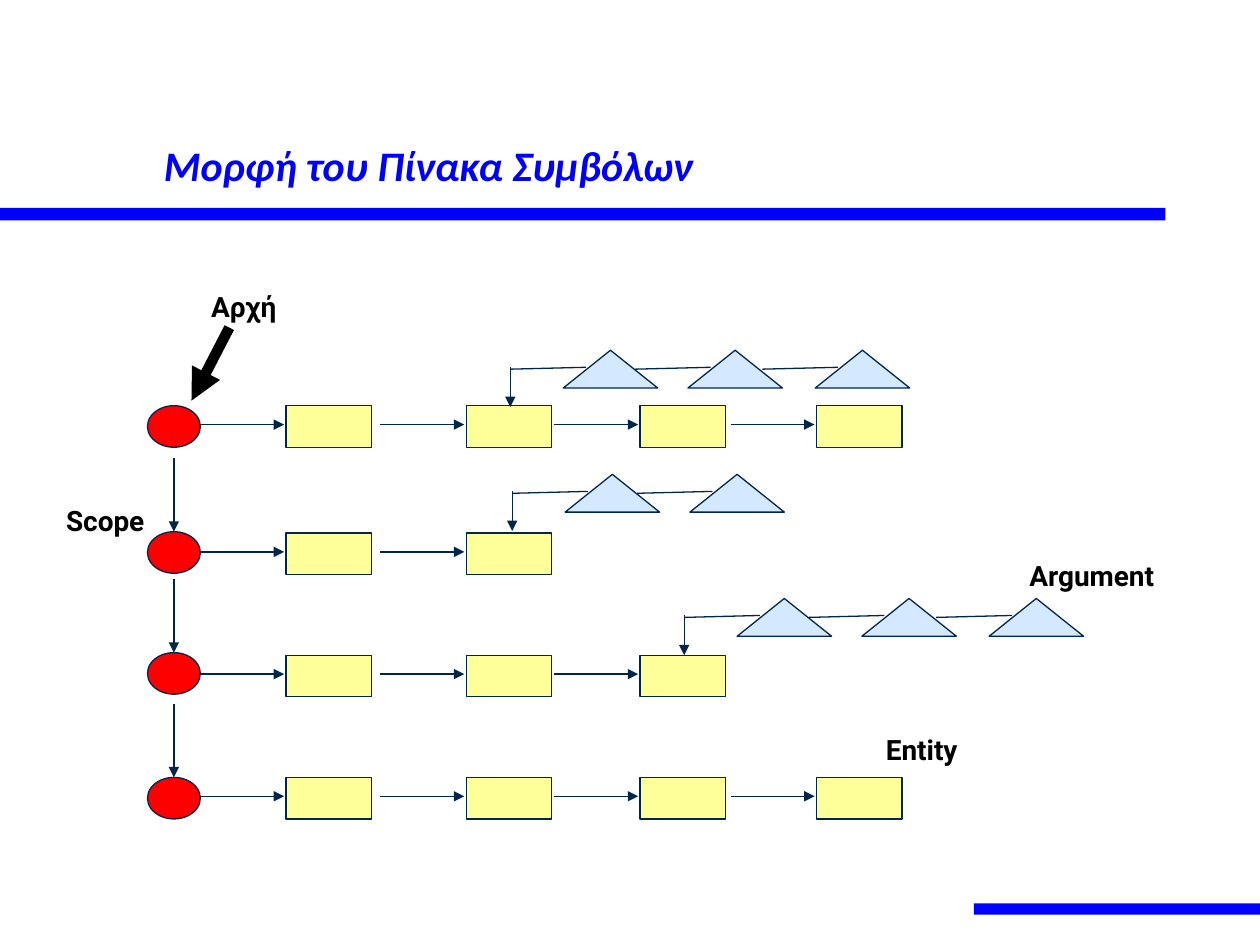
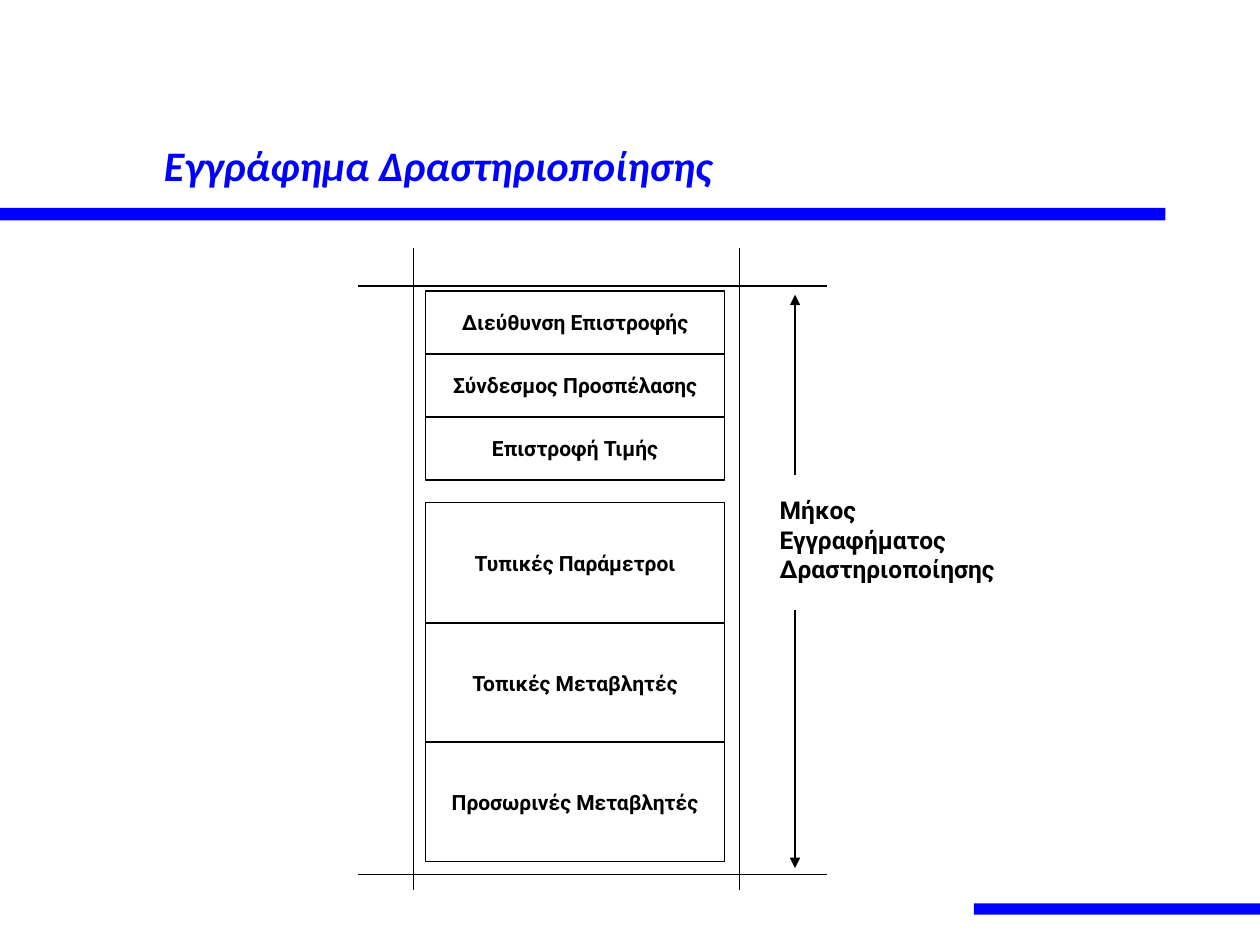
from dataclasses import dataclass
from typing import Optional

from lxml.etree import SubElement as Sub
from pptx import Presentation
from pptx.dml.color import RGBColor as Rgb
from pptx.enum.shapes import MSO_CONNECTOR as Conn, MSO_SHAPE as Kind
from pptx.enum.text import MSO_ANCHOR as Anchor, MSO_AUTO_SIZE as Fit, PP_ALIGN as Align
from pptx.oxml.ns import qn
from pptx.util import Inches, Pt

COLS, ROWS = 100, 75
WIDE, HIGH = Inches(10), Inches(7.5)


@dataclass(frozen=True)
class Theme:
    blue: str = "0000FF"
    navy: str = "00264C"
    red: str = "FF0000"
    sand: str = "FFFF99"
    sky: str = "D4E9FF"
    black: str = "000000"
    head: str = "Calibri"
    body: str = "Roboto"
    title: int = 24
    label: int = 16
    note: int = 14
    cell: int = 12
    thin: float = 0.75
    thick: float = 6


@dataclass(frozen=True)
class Area:
    left: float
    top: float
    width: float
    height: float

    def spans(self) -> tuple:
        return across(self.left), down(self.top), across(self.width), down(self.height)


@dataclass(frozen=True)
class Chain:
    left: float
    top: float
    count: int


@dataclass(frozen=True)
class Scope:
    top: float
    line: float
    count: int
    chain: Optional[Chain] = None


@dataclass(frozen=True)
class Label:
    text: str
    left: float
    top: float


@dataclass(frozen=True)
class Field:
    text: str
    top: float
    height: float


THEME = Theme()
BANDS = (Area(0, 16.5, 92.5, 1), Area(77.3, 71.7, 22.7, 0.9))
TITLE = Area(12, 3.1, 85, 12.5)

BOXES = (22.7, 37, 50.8, 64.8)
STEPS = (0, 9.9, 20)
SCOPES = (
    Scope(32.2, 32.2, 4, Chain(44.7, 27.8, 3)),
    Scope(42.2, 42.3, 2, Chain(44.85, 37.65, 2)),
    Scope(51.8, 52, 3, Chain(58.5, 47.5, 3)),
    Scope(61.7, 61.7, 4),
)
LABELS = (
    Label("Scope", 2.6, 39.4),
    Label("Entity", 67.4, 57.6),
    Label("Argument", 80.9, 43.8),
    Label("Αρχή", 13.6, 22.4),
)
FIELDS = (
    Field("Διεύθυνση Επιστροφής", 23.1, 5),
    Field("Σύνδεσμος Προσπέλασης", 28.1, 5),
    Field("Επιστροφή Τιμής", 33.1, 5),
    Field("Τυπικές Παράμετροι", 39.9, 9.5),
    Field("Τοπικές Μεταβλητές", 49.5, 9.4),
    Field("Προσωρινές Μεταβλητές", 58.9, 9.5),
)


def across(cols: float) -> int:
    return round(WIDE * cols / COLS)


def down(rows: float) -> int:
    return round(HIGH * rows / ROWS)


def write(frame, lines, size: float, align=Align.CENTER, font: str = THEME.body,
          color: str = THEME.black, slant: bool = False) -> None:
    for i, line in enumerate(lines):
        para = frame.paragraphs[0] if i == 0 else frame.add_paragraph()
        para.alignment = align
        run = para.add_run()
        run.text = line
        run.font.name = font
        run.font.size = Pt(size)
        run.font.bold = True
        run.font.italic = slant
        run.font.color.rgb = Rgb.from_string(color)


def place(frame, anchor, wrap: bool) -> None:
    frame.auto_size = Fit.NONE
    frame.vertical_anchor = anchor
    frame.word_wrap = wrap


def shape(slide, kind, area: Area, fill: Optional[str] = None, edge: Optional[str] = None):
    item = slide.shapes.add_shape(kind, *area.spans())
    item.shadow.inherit = False
    if fill:
        item.fill.solid()
        item.fill.fore_color.rgb = Rgb.from_string(fill)
    else:
        item.fill.background()
    if edge:
        item.line.color.rgb = Rgb.from_string(edge)
        item.line.width = Pt(THEME.thin)
    else:
        item.line.fill.background()
    return item


def line(slide, x: float, y: float, end: float, foot: float, color: str = THEME.black,
         width: float = THEME.thin, arrow: bool = False) -> None:
    item = slide.shapes.add_connector(Conn.STRAIGHT, across(x), down(y), across(end), down(foot))
    item.line.color.rgb = Rgb.from_string(color)
    item.line.width = Pt(width)
    if arrow:
        Sub(item.line._get_or_add_ln(), qn("a:tailEnd"), type="triangle")
    Sub(item.element.spPr, qn("a:effectLst"))


def text(slide, area: Area, lines, size: float, align=Align.CENTER) -> None:
    frame = slide.shapes.add_textbox(*area.spans()).text_frame
    place(frame, Anchor.MIDDLE, align == Align.LEFT)
    write(frame, lines, size, align)


def start(deck, layout, title: str):
    slide = deck.slides.add_slide(layout)
    frame = slide.shapes.title.text_frame
    place(frame, Anchor.BOTTOM, True)
    write(frame, [title], THEME.title, Align.LEFT, THEME.head, THEME.blue, True)
    return slide


def dress(slide, layout) -> None:
    head = layout.placeholders[0]
    head.left, head.top, head.width, head.height = TITLE.spans()
    for i, area in enumerate(BANDS):
        band = shape(slide, Kind.RECTANGLE, area, THEME.blue).element
        band.nvSpPr.cNvPr.set("id", str(100 + i))
        layout.shapes.element.insert(2 + i, band)


def draw_chain(slide, chain: Chain) -> None:
    start_x = chain.left - 4.2
    line(slide, start_x, chain.top + 1.35, start_x, chain.top + 4.5, THEME.navy, arrow=True)
    for step in STEPS[:chain.count]:
        left = chain.left + step
        shape(slide, Kind.ISOSCELES_TRIANGLE, Area(left, chain.top, 7.5, 3), THEME.sky, THEME.navy)
        line(slide, left - 4.2, chain.top + 1.5, left + 1.8, chain.top + 1.35, THEME.navy)


def draw_scope(slide, scope: Scope, first: bool) -> None:
    shape(slide, Kind.OVAL, Area(11.7, scope.top, 4.2, 3.3), THEME.red, THEME.navy)
    if not first:
        line(slide, 13.8, scope.top - 5.85, 13.8, scope.top, THEME.navy, arrow=True)
    mid = scope.line + 1.5
    for left in BOXES[:scope.count]:
        shape(slide, Kind.RECTANGLE, Area(left, scope.line, 6.8, 3.3), THEME.sand, THEME.navy)
        line(slide, left - 6.8, mid, left - 0.15, mid, THEME.navy, arrow=True)
    if scope.chain:
        draw_chain(slide, scope.chain)


def draw_table(slide) -> None:
    for i, scope in enumerate(SCOPES):
        draw_scope(slide, scope, i == 0)
    for label in LABELS:
        text(slide, Area(label.left, label.top, 11.5, 3.8), [label.text], THEME.label)
    line(slide, 18.2, 26, 15.2, 31.8, width=THEME.thick, arrow=True)


def draw_record(slide) -> None:
    for x in (32.8, 58.7):
        line(slide, x, 19.7, x, 70.6)
    for y in (22.7, 69.4):
        line(slide, 28.4, y, 65.6, y)
    for y, foot in ((48.4, 68.9), (37.7, 23.4)):
        line(slide, 63.1, y, 63.1, foot, arrow=True)
    for field in FIELDS:
        box = shape(slide, Kind.RECTANGLE, Area(33.8, field.top, 23.7, field.height), edge=THEME.black)
        place(box.text_frame, Anchor.MIDDLE, False)
        write(box.text_frame, [field.text], THEME.cell)
    text(slide, Area(60.9, 36.9, 24.7, 11.8), ["Μήκος", "Εγγραφήματος", "Δραστηριοποίησης"],
         THEME.note, Align.LEFT)


def main() -> None:
    deck = Presentation()
    deck.slide_width, deck.slide_height = WIDE, HIGH
    layout = deck.slide_layouts[5]
    table = start(deck, layout, "Μορφή του Πίνακα Συμβόλων")
    dress(table, layout)
    draw_table(table)
    draw_record(start(deck, layout, "Εγγράφημα Δραστηριοποίησης"))
    deck.save("out.pptx")


if __name__ == "__main__":
    main()
